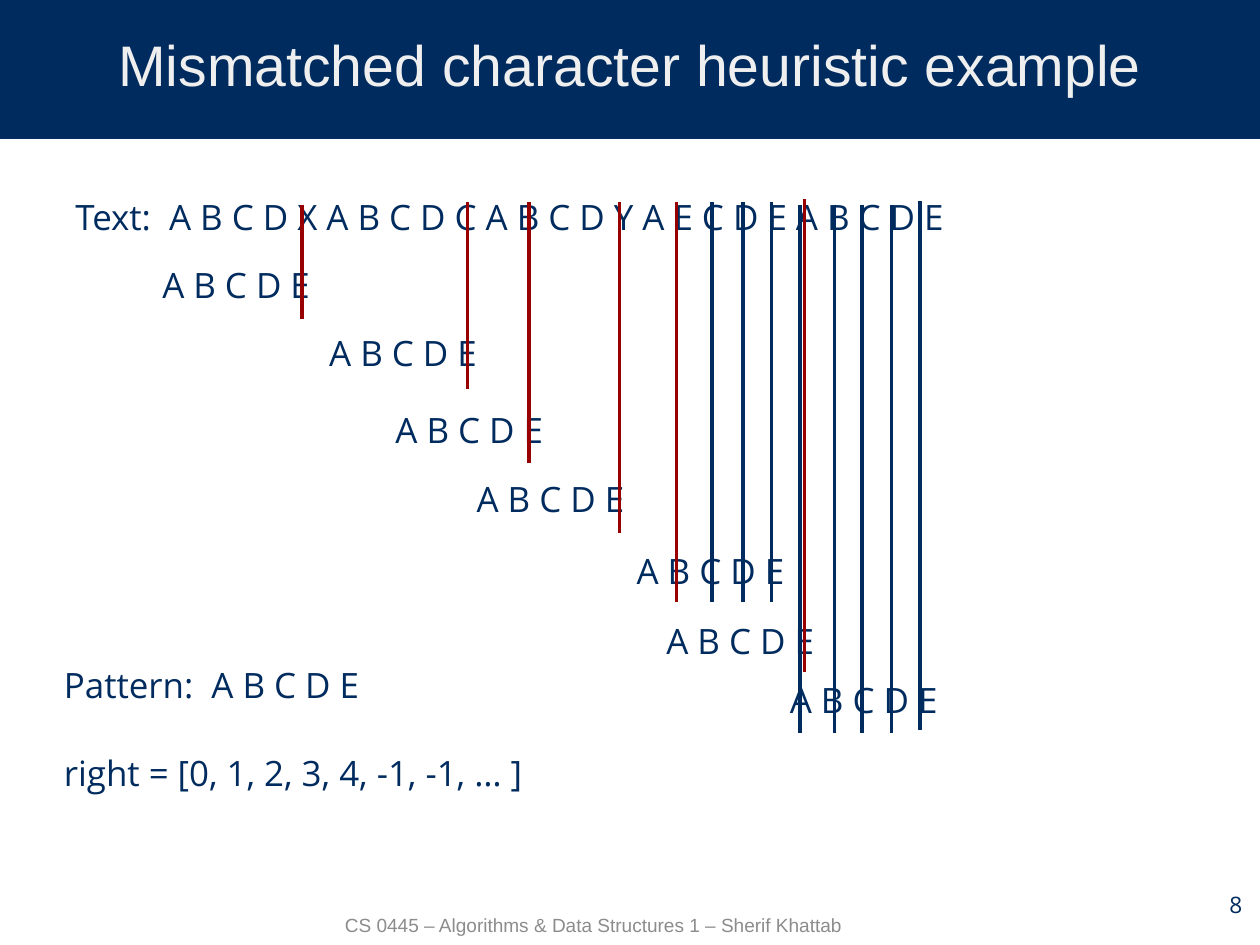
from lxml import etree
from pptx import Presentation
from pptx import util as u
from pptx.dml.color import RGBColor
from pptx.enum import shapes, text
from pptx.oxml.ns import qn

PX = 9144  # EMU per px, 100 px to the inch
PAGE_WIDTH, PAGE_HEIGHT = u.Cm(28), u.Cm(21)
NAVY, RED, PALE, GREY = "002B5E", "980000", "EFEFEF", "8C8C8C"
BAND_HEIGHT = 121
INSET = 11

TITLE = "Mismatched character heuristic example"
FOOTER = "CS 0445 – Algorithms & Data Structures 1 – Sherif Khattab"
PAGE_NUMBER = "8"
PATTERN = "A B C D E"

# Labelled lines: text, left, top, width
STATEMENTS = [
    ("Text:  A B C D X A B C D C A B C D Y A E C D E A B C D E", 55, 155, 992),
    ("Pattern:  " + PATTERN, 45, 564, 345),
    ("right = [0, 1, 2, 3, 4, -1, -1, … ]", 45, 641, 496),
]
STATEMENT_HEIGHT = 77

# Successive alignments of the pattern: left, top, line spacing
ALIGNMENTS = [
    (131, 214, 1.15), (277, 274, 1.15), (335, 341, 1.15), (406, 401, 1.15),
    (546, 464, 1.15), (572, 531, 1.0), (680, 577, 1.15),
]
ALIGNMENT_WIDTH = 201

# Character comparisons: colour, top, bottom, x of each line
COMPARISONS = [
    (RED, 179, 279, [264]),
    (RED, 177, 340, [409]),
    (RED, 177, 405, [463]),
    (RED, 177, 466, [542]),
    (RED, 177, 527, [592]),
    (NAVY, 177, 527, [623, 650, 675]),
    (RED, 174, 588, [704]),
    (NAVY, 179, 641, [700, 730, 754, 780]),
    (NAVY, 176, 639, [805]),
]


def px(*lengths):
    return [u.Emu(length * PX) for length in lengths]


def color(hex_string):
    return RGBColor.from_string(hex_string)


def add_text(page, words, left, top, width, height, size=22, font="Open Sans",
             ink=NAVY, spacing=1.15, align=text.PP_ALIGN.LEFT,
             anchor=text.MSO_ANCHOR.TOP, inset=INSET):
    box = page.shapes.add_textbox(*px(left, top, width, height))
    frame = box.text_frame
    frame.word_wrap = True
    frame.vertical_anchor = anchor
    frame.margin_left, frame.margin_right = px(INSET, INSET)
    frame.margin_top, frame.margin_bottom = px(inset, inset)
    para = frame.paragraphs[0]
    para.alignment = align
    para.line_spacing = spacing
    span = para.add_run()
    span.text = words
    span.font.size = u.Pt(size)
    span.font.name = font
    span.font.color.rgb = color(ink)


def add_comparison(page, x, top, bottom, ink):
    line = page.shapes.add_connector(shapes.MSO_CONNECTOR.STRAIGHT,
                                     *px(x, top, x, bottom))
    line.line.color.rgb = color(ink)
    line.line.width = u.Pt(2.25)
    etree.SubElement(line._element.spPr, qn("a:effectLst"))


def main():
    deck = Presentation()
    deck.slide_width, deck.slide_height = PAGE_WIDTH, PAGE_HEIGHT
    page = deck.slides.add_slide(deck.slide_layouts[6])

    # Title band
    band = page.shapes.add_shape(shapes.MSO_SHAPE.RECTANGLE, 0, 0,
                                 PAGE_WIDTH, *px(BAND_HEIGHT))
    band.shadow.inherit = False
    band.fill.solid()
    band.fill.fore_color.rgb = color(NAVY)
    band.line.color.rgb = color(NAVY)
    band.line.width = u.Pt(1.5)
    add_text(page, TITLE, 55, 24, 992, 73, size=36, font="Arial", ink=PALE,
             spacing=1.0, align=text.PP_ALIGN.CENTER,
             anchor=text.MSO_ANCHOR.BOTTOM)

    # Text, pattern and table of rightmost positions
    for words, left, top, width in STATEMENTS:
        add_text(page, words, left, top, width, STATEMENT_HEIGHT)

    # Pattern shifted along the text
    for left, top, spacing in ALIGNMENTS:
        add_text(page, PATTERN, left, top, ALIGNMENT_WIDTH, STATEMENT_HEIGHT,
                 spacing=spacing)

    # Mismatches in red, matches in navy
    for ink, top, bottom, columns in COMPARISONS:
        for x in columns:
            add_comparison(page, x, top, bottom, ink)

    # Page number and footer
    add_text(page, PAGE_NUMBER, 1032, 763, 66, 63, size=14.3, spacing=0.69,
             align=text.PP_ALIGN.RIGHT, anchor=text.MSO_ANCHOR.MIDDLE)
    add_text(page, FOOTER, 268, 797, 503, 29, size=12, font="Arial", ink=GREY,
             spacing=0.69, align=text.PP_ALIGN.CENTER,
             anchor=text.MSO_ANCHOR.MIDDLE, inset=5)

    deck.save("out.pptx")


if __name__ == "__main__":
    main()
